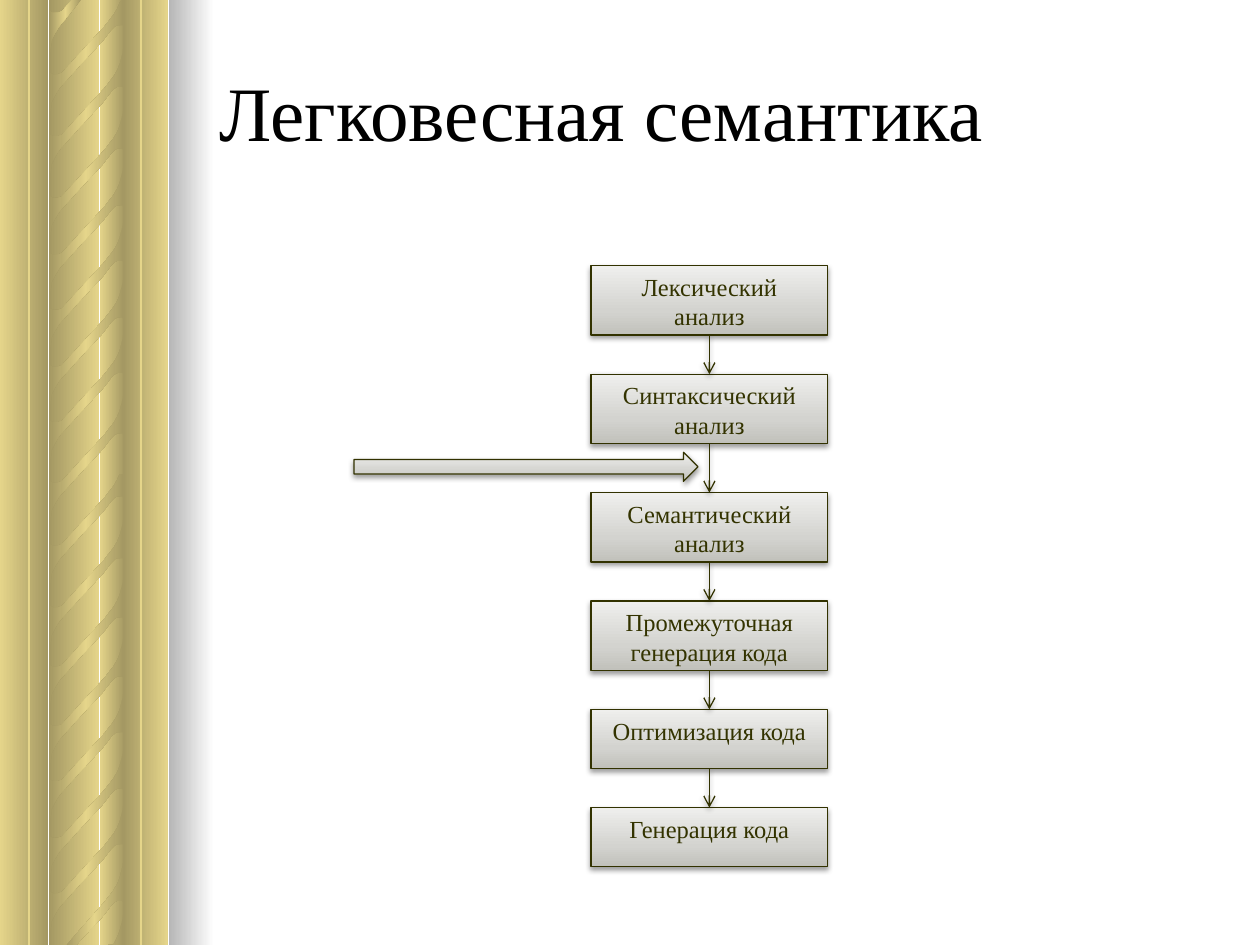
"""Build a slide with the stages of a compiler beside a column ornament."""
from lxml.etree import SubElement
from pptx import Presentation
from pptx.dml.color import RGBColor
from pptx.enum.shapes import MSO_CONNECTOR, MSO_SHAPE
from pptx.enum.text import MSO_ANCHOR, PP_ALIGN
from pptx.oxml.ns import qn
from pptx.util import Inches, Pt


def paint(shape, stops=None, angle=0, line=None, width=0.75, shadow=False):
    """Set the gradient, line and shadow of a shape or connector from hex colours."""
    properties = shape._element.spPr
    if stops:
        shape.fill.gradient()
        gradient = properties.find(qn("a:gradFill"))
        stop_list = gradient.find(qn("a:gsLst"))
        stop_list.clear()
        for position, color in stops:
            stop = SubElement(stop_list, qn("a:gs"), pos=str(position * 1000))
            SubElement(stop, qn("a:srgbClr"), val=color)
        gradient.find(qn("a:lin")).set("ang", str(angle * 60000))
    if line:
        shape.line.color.rgb = RGBColor.from_string(line)
        shape.line.width = Pt(width)
    else:
        shape.line.fill.background()
    effects = SubElement(properties, qn("a:effectLst"))
    if shadow:
        outer = SubElement(effects, qn("a:outerShdw"), blurRad="40000", dist="20000",
                           dir="5400000", rotWithShape="0")
        color = SubElement(outer, qn("a:srgbClr"), val="000000")
        SubElement(color, qn("a:alpha"), val="38000")


def write_text(shape, text, size, color, align, anchor):
    """Fill a shape with one formatted paragraph."""
    frame = shape.text_frame
    frame.word_wrap = True
    frame.vertical_anchor = anchor
    paragraph = frame.paragraphs[0]
    paragraph.alignment = align
    run = paragraph.add_run()
    run.text = text
    run.font.size = Pt(size)
    run.font.name = "Times New Roman"
    run.font.color.rgb = RGBColor.from_string(color)


presentation = Presentation()
presentation.slide_width = Inches(10)
presentation.slide_height = Inches(7.5)
slide = presentation.slides.add_slide(presentation.slide_layouts[6])
shapes = slide.shapes
cell = presentation.slide_width // 1000

gold, bronze = "E5D58A", "A49863"
falling = [(0, gold), (100, bronze)]
rising = [(0, bronze), (100, gold)]
round_gold = [(0, bronze), (50, gold), (100, bronze)]
flutes = [(79, 20, falling), (0, 38, falling), (39, 40, rising), (98, 35, rising)]

twist = [(98, 9), (98, 33), (97, 32), (93, 32), (91, 33), (88, 36), (81, 45),
         (64, 63), (47, 82), (44, 87), (41, 93), (40, 101), (39, 112), (39, 63),
         (39, 68), (40, 70), (42, 71), (44, 71), (46, 71), (49, 70), (83, 33),
         (90, 24), (93, 19), (95, 14), (97, 6), (98, 0), (98, 20)]
first_twist = [(65, 60)] + twist[8:20] + [(58, 60)]
late_twist = twist[:8] + [(60, 68), (52, 68)] + twist[20:]
last_twist = twist[:1] + [(98, 25), (38, 26), (90, 25)] + twist[22:]
lower_twists = [(top, twist) for top in (458, 505, 549, 594, 638)]
lower_twists += [(683, late_twist), (411, twist), (362, twist), (725, last_twist)]
upper_twists = [(top, twist) for top in (86, 131, 175, 220, 264, 37, -12)]
upper_twists += [(-61, first_twist), (312, twist)]

for half_top, twists in [(373, lower_twists), (-1, upper_twists)]:
    for left, width, stops in flutes:
        flute = shapes.add_shape(MSO_SHAPE.RECTANGLE, left * cell, half_top * cell,
                                 width * cell, 377 * cell)
        paint(flute, stops)
    for top, outline in twists:
        points = [(x, max(top + y, half_top)) for x, y in outline]
        builder = shapes.build_freeform(*points[0], scale=cell)
        builder.add_line_segments(points[1:], close=True)
        paint(builder.convert_to_shape(), round_gold)

column_shade = shapes.add_shape(MSO_SHAPE.RECTANGLE, 134 * cell, 0, 36 * cell,
                                presentation.slide_height)
paint(column_shade, [(0, "B6B6B6"), (100, "FFFFFF")])
for x in (23, 112):
    groove = shapes.add_connector(MSO_CONNECTOR.STRAIGHT, x * cell, 0, x * cell,
                                  presentation.slide_height)
    paint(groove, line=gold, width=1)

title = shapes.add_textbox(164 * cell, 25 * cell, 819 * cell, 125 * cell)
write_text(title, "Легковесная семантика", size=44, color="000000",
           align=PP_ALIGN.LEFT, anchor=MSO_ANCHOR.MIDDLE)

silver = [(0, "C1C1BB"), (35, "D3D3CF"), (100, "EFEFED")]
olive = "323200"
pointer = shapes.add_shape(MSO_SHAPE.RIGHT_ARROW, 281 * cell, 359 * cell,
                           273 * cell, 23 * cell)
paint(pointer, silver, angle=270, line=olive, shadow=True)

stages = [("Лексический анализ", 211, 55), ("Синтаксический анализ", 297, 55),
          ("Семантический анализ", 391, 55), ("Промежуточная генерация кода", 477, 55),
          ("Оптимизация кода", 563, 47), ("Генерация кода", 641, 47)]
for text, top, height in stages:
    box = shapes.add_shape(MSO_SHAPE.RECTANGLE, 469 * cell, top * cell,
                           188 * cell, height * cell)
    paint(box, silver, angle=270, line=olive, shadow=True)
    write_text(box, text, size=14, color="333300", align=PP_ALIGN.CENTER,
               anchor=MSO_ANCHOR.TOP)

for (_, top, height), (_, next_top, _) in zip(stages, stages[1:]):
    arrow = shapes.add_connector(MSO_CONNECTOR.STRAIGHT, 563 * cell,
                                 (top + height) * cell, 563 * cell, next_top * cell)
    paint(arrow, line=olive, shadow=True)
    SubElement(arrow.line._get_or_add_ln(), qn("a:tailEnd"), type="arrow")

presentation.save("out.pptx")
